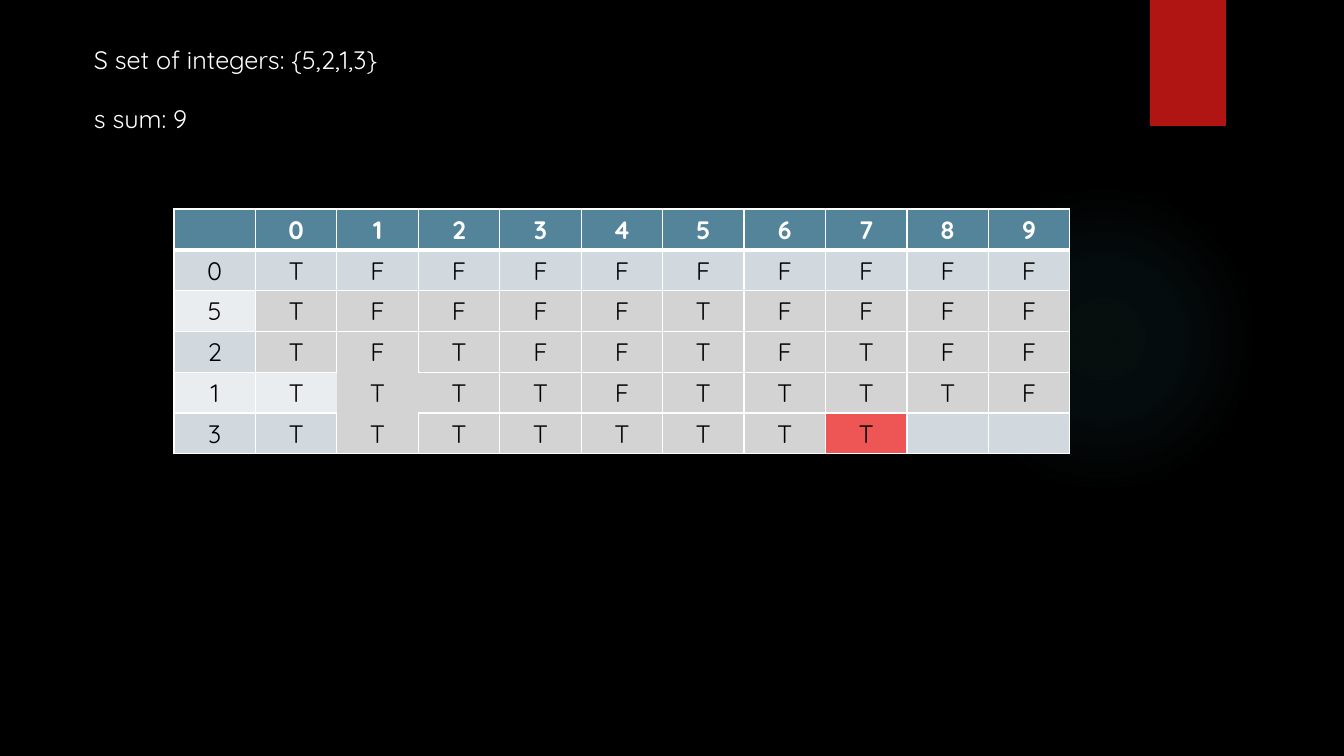
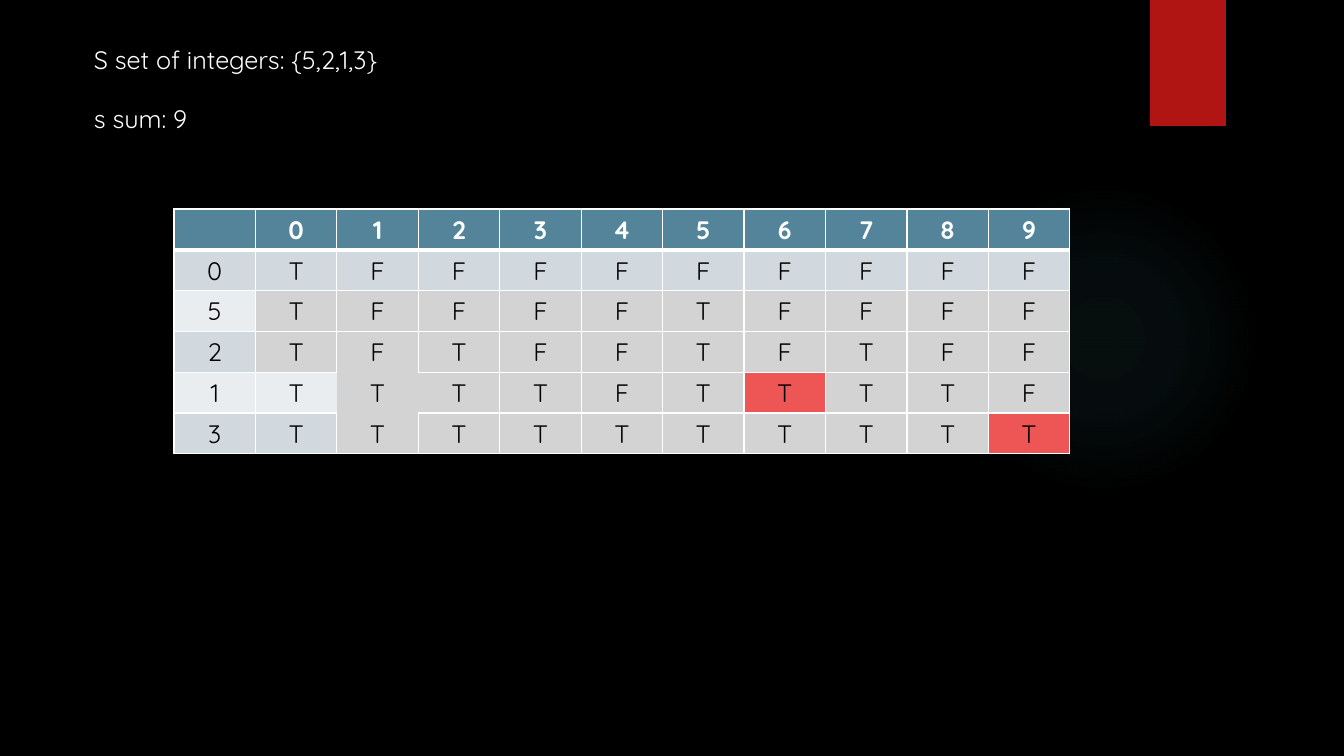
import pptx
import pptx.dml.color
import pptx.enum.shapes
import pptx.enum.text
import pptx.oxml
import pptx.oxml.ns
import pptx.util

WIDTH, HEIGHT = 1344, 756
EMU_PER_PX = 12192000 / WIDTH
FONT = "Quicksand"
COLORS = {
    "background": "000000",
    "ribbon": "B01513",
    "glow": "50B9C1",
    "light": "FFFFFF",
    "dark": "000000",
    "header": "54849A",
    "band_odd": "D1D9DE",
    "band_even": "E9EDEF",
    "computed": "D3D3D3",
    "highlight": "ED5654",
}
# Glow stops: position and opacity in percent
GLOW_STOPS = [(0, 7), (36, 6), (69, 0), (100, 0)]

# Subset-sum table: label and one letter per sum from 0 to 9
HEADER = [""] + [str(total) for total in range(10)]
ROWS = [
    ("0", "TFFFFFFFFF"),
    ("5", "TFFFFTFFFF"),
    ("2", "TFTFFTFTFF"),
    ("1", "TTTTFTTTTF"),
]
PLAIN_CELLS = {(4, 1), (5, 1)}
BORDERLESS_CELL = (4, 2)
SIDES = {"L": (0, -1), "R": (0, 1), "T": (-1, 0), "B": (1, 0)}

# Each step: last table row and highlighted cells
STEPS = [
    ("TTTTTTTT", {(5, 8)}),
    ("TTTTTTTTTT", {(4, 7), (5, 10)}),
]


def px(length):
    return pptx.util.Emu(round(length * EMU_PER_PX))


def rgb(name):
    return pptx.dml.color.RGBColor.from_string(COLORS[name])


def write_text(paragraph, text, color="light", size=18, bold=False,
               align=pptx.enum.text.PP_ALIGN.LEFT, space_before=0):
    paragraph.alignment = align
    paragraph.space_before = pptx.util.Pt(space_before)
    run = paragraph.add_run()
    run.text = text
    run.font.name = FONT
    run.font.size = pptx.util.Pt(size)
    run.font.bold = bold
    run.font.color.rgb = rgb(color)


class Deck:
    def __init__(self):
        self.presentation = pptx.Presentation()
        self.presentation.slide_width = px(WIDTH)
        self.presentation.slide_height = px(HEIGHT)
        background = self.presentation.slide_master.background.fill
        background.solid()
        background.fore_color.rgb = rgb("background")
        self.slide = None

    def add_slide(self):
        blank_layout = self.presentation.slide_layouts[6]
        self.slide = self.presentation.slides.add_slide(blank_layout)
        self.add_glow(949, 184, 310)
        self.add_block("ribbon", 1150, 0, 76, 126)

    def add_block(self, color, left, top, width, height, kind="RECTANGLE"):
        shape = self.slide.shapes.add_shape(
            pptx.enum.shapes.MSO_SHAPE[kind], px(left), px(top), px(width), px(height))
        shape.shadow.inherit = False
        shape.line.fill.background()
        shape.fill.solid()
        shape.fill.fore_color.rgb = rgb(color)
        return shape

    def add_glow(self, left, top, diameter):
        shape = self.add_block("glow", left, top, diameter, diameter, kind="OVAL")
        stops = "".join(
            f'<a:gs pos="{position * 1000}"><a:srgbClr val="{COLORS["glow"]}">'
            f'<a:alpha val="{opacity * 1000}"/></a:srgbClr></a:gs>'
            for position, opacity in GLOW_STOPS)
        gradient = pptx.oxml.parse_xml(
            f'<a:gradFill {pptx.oxml.ns.nsdecls("a")}><a:gsLst>{stops}</a:gsLst>'
            '<a:path path="circle">'
            '<a:fillToRect l="50000" t="50000" r="50000" b="50000"/></a:path></a:gradFill>')
        properties = shape.element.spPr
        properties.replace(properties.find(pptx.oxml.ns.qn("a:solidFill")), gradient)

    def add_text(self, lines, left, top, width, height, gap):
        box = self.slide.shapes.add_textbox(px(left), px(top), px(width), px(height))
        frame = box.text_frame
        frame.word_wrap = True
        frame.auto_size = pptx.enum.text.MSO_AUTO_SIZE.SHAPE_TO_FIT_TEXT
        for index, line in enumerate(lines):
            paragraph = frame.add_paragraph() if index else frame.paragraphs[0]
            write_text(paragraph, line, space_before=gap if index else 0)

    def add_table(self, rows, highlights, left, top, width, height):
        table = self.slide.shapes.add_table(
            len(rows), len(rows[0]), px(left), px(top), px(width), px(height)).table
        table.horz_banding = False
        for row, texts in enumerate(rows):
            for column, text in enumerate(texts):
                cell = table.cell(row, column)
                cell.fill.solid()
                cell.fill.fore_color.rgb = rgb(cell_color(row, column, text, highlights))
                if text:
                    write_text(cell.text_frame.paragraphs[0], text,
                               color="dark" if row else "light", bold=row == 0,
                               align=pptx.enum.text.PP_ALIGN.CENTER)
                self.add_borders(cell, row, column)

    def add_borders(self, cell, row, column):
        properties = cell._tc.get_or_add_tcPr()
        for index, (side, (down, right)) in enumerate(SIDES.items()):
            hidden = BORDERLESS_CELL in {(row, column), (row + down, column + right)}
            points = 3 if row == 0 and side == "B" else 1
            fill = "<a:noFill/>" if hidden else (
                f'<a:solidFill><a:srgbClr val="{COLORS["light"]}"/></a:solidFill>')
            properties.insert(index, pptx.oxml.parse_xml(
                f'<a:ln{side} {pptx.oxml.ns.nsdecls("a")} w="{pptx.util.Pt(points)}">'
                f'{fill}</a:ln{side}>'))


def cell_color(row, column, text, highlights):
    if row == 0:
        return "header"
    if (row, column) in highlights:
        return "highlight"
    if row > 1 and column > 0 and text and (row, column) not in PLAIN_CELLS:
        return "computed"
    return "band_odd" if row % 2 else "band_even"


def main():
    deck = Deck()
    for last_row, highlights in STEPS:
        deck.add_slide()
        # Problem statement
        deck.add_text(["S set of integers: {5,2,1,3}", "s sum: 9"], 84, 39, 322, 102, gap=21)
        # Table filled so far
        body = [[label, *values.ljust(10)] for label, values in ROWS + [("3", last_row)]]
        rows = [HEADER] + [[text.strip() for text in texts] for texts in body]
        deck.add_table(rows, highlights, 174, 209, 896, 245)
    deck.presentation.save("out.pptx")


if __name__ == "__main__":
    main()
